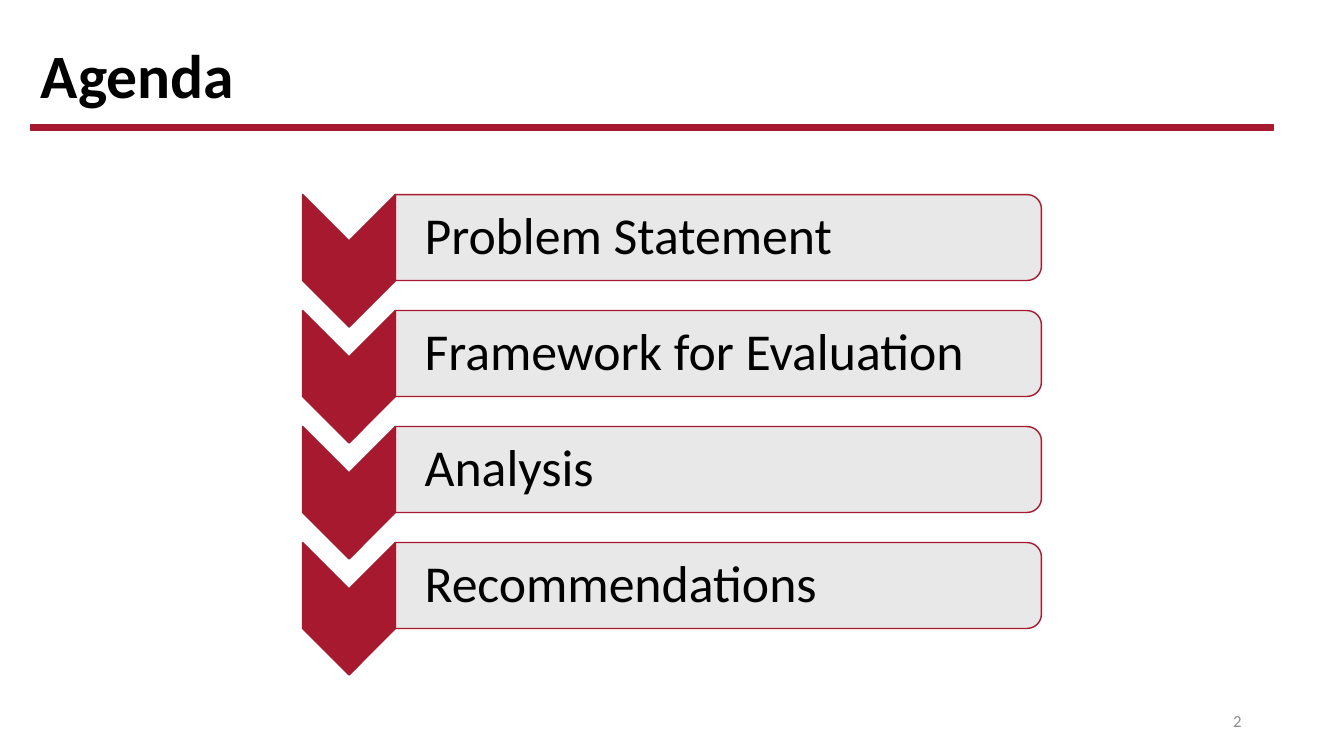
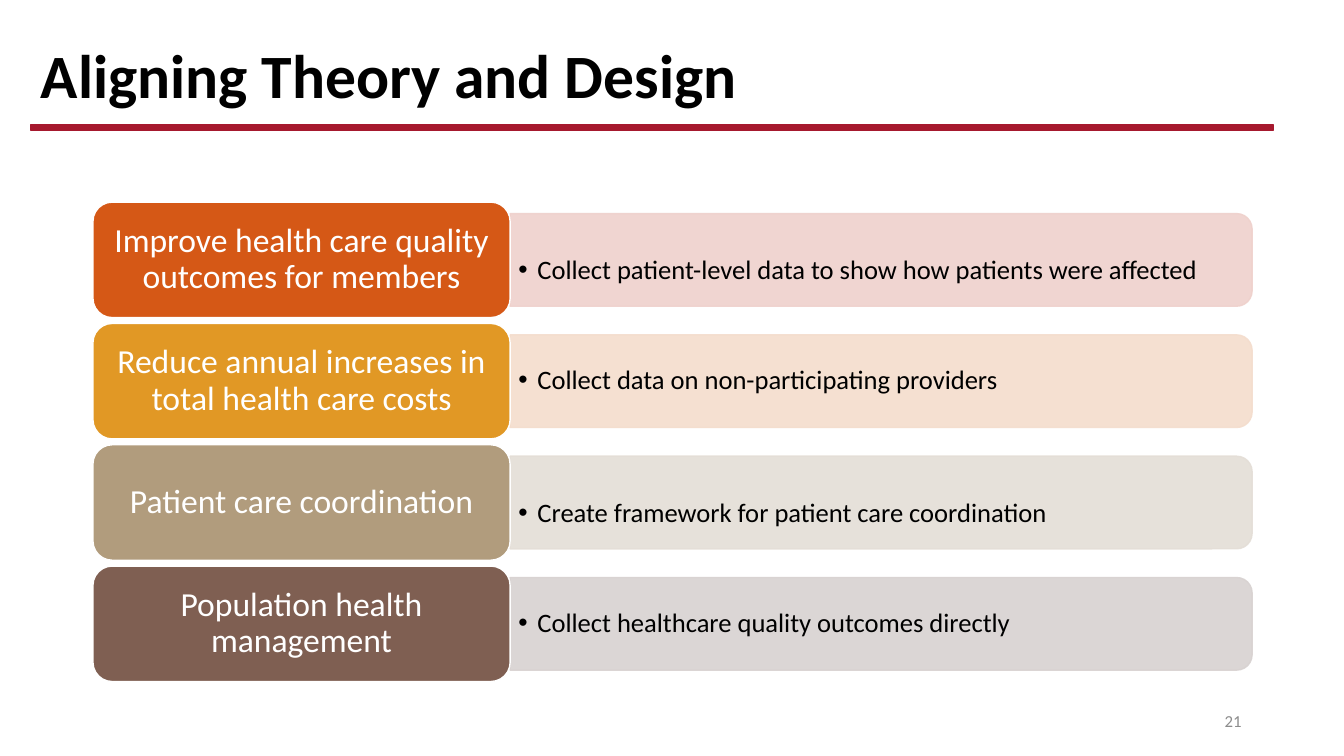
from lxml import etree
from pptx import Presentation
from pptx.dml.color import RGBColor
from pptx.enum.shapes import MSO_SHAPE
from pptx.enum.text import MSO_ANCHOR, PP_ALIGN
from pptx.oxml.ns import qn
from pptx.util import Pt

FONT = "Calibri"
COLORS = {
    "black": "000000", "white": "FFFFFF", "red": "A6192E",
    "gray": "E7E6E6", "number": "8C8C8C",
}
AGENDA = {
    "title": "Agenda",
    "number": "2",
    "items": ["Problem Statement", "Framework for Evaluation", "Analysis", "Recommendations"],
}
# Goal, goal colour, design step, bar colour, extra space above the step
DESIGN = {
    "title": "Aligning Theory and Design",
    "number": "21",
    "rows": [
        ("Improve health care quality outcomes for members", "D55816",
         "Collect patient-level data to show how patients were affected", "EFD1CC", 16),
        ("Reduce annual increases in total health care costs", "E19825",
         "Collect data on non-participating providers", "F4DDCD", 0),
        ("Patient care coordination", "B19C7D",
         "Create framework for patient care coordination", "E4DED7", 16),
        ("Population health management", "7F5F52",
         "Collect healthcare quality outcomes directly", "D8D2D1", 0),
    ],
}


def set_alpha(color_fill, percent):
    """Make a solid fill partly transparent."""
    color = color_fill.find(".//" + qn("a:srgbClr"))
    etree.SubElement(color, qn("a:alpha")).set("val", str(percent * 1000))


def write(shape, text, size, color, align=PP_ALIGN.LEFT, insets=(7.2, 3.6, 7.2, 3.6),
          bold=False, spacing=0.9):
    """Put one formatted, vertically centred paragraph in a shape."""
    frame = shape.text_frame
    frame.word_wrap = True
    frame.vertical_anchor = MSO_ANCHOR.MIDDLE
    (frame.margin_left, frame.margin_top,
     frame.margin_right, frame.margin_bottom) = map(Pt, insets)
    paragraph = frame.paragraphs[0]
    paragraph.alignment = align
    paragraph.line_spacing = spacing
    run = paragraph.add_run()
    run.text = text
    run.font.name, run.font.size, run.font.bold = FONT, Pt(size), bold
    run.font.color.rgb = RGBColor.from_string(color)
    return paragraph


def add_text(slide, box, *args, **kwargs):
    """Add a text box with one paragraph."""
    return write(slide.shapes.add_textbox(*map(Pt, box)), *args, **kwargs)


def add_bullet(paragraph, indent):
    """Give a paragraph a round bullet with a hanging indent."""
    props = paragraph._p.get_or_add_pPr()
    props.set("marL", str(Pt(indent)))
    props.set("indent", str(-Pt(indent)))
    etree.SubElement(props, qn("a:buFont")).set("typeface", "Arial")
    etree.SubElement(props, qn("a:buChar")).set("char", "•")


def add_block(slide, kind, box, fill, line, alpha=None, line_alpha=None):
    """Add a filled and outlined preset shape without shadow."""
    shape = slide.shapes.add_shape(kind, *map(Pt, box))
    shape.shadow.inherit = False
    shape.fill.solid()
    shape.fill.fore_color.rgb = RGBColor.from_string(fill)
    shape.line.color.rgb = RGBColor.from_string(line)
    shape.line.width = Pt(1)
    props = shape._element.spPr
    if alpha:
        set_alpha(props.find(qn("a:solidFill")), alpha)
    if line_alpha:
        set_alpha(props.find(qn("a:ln")), line_alpha)
    return shape


def add_turned(slide, kind, box, *args, **kwargs):
    """Add a shape turned a quarter clockwise so that it covers the box."""
    left, top, width, height = box
    shift = (width - height) / 2
    turned = (left + shift, top - shift, height, width)
    add_block(slide, kind, turned, *args, **kwargs).rotation = 90


def add_base(deck, content):
    """Add a slide with the shared title, red rule and page number."""
    slide = deck.slides.add_slide(deck.slide_layouts[5])
    title = slide.shapes.title
    title.left, title.top, title.width, title.height = map(Pt, (22, 23.4, 827, 65.6))
    write(title, content["title"], 44, COLORS["black"], bold=True)
    add_block(slide, MSO_SHAPE.RECTANGLE, (22, 89.3, 887.6, 3.6), COLORS["red"], COLORS["red"])
    add_text(slide, (678, 500.5, 216, 28.8), content["number"], 12, COLORS["number"],
             PP_ALIGN.RIGHT, spacing=1)
    return slide


def build_agenda(deck):
    """Build the agenda: a column of chevrons with a bar beside each."""
    slide = add_base(deck, AGENDA)
    left, first, pitch = 216.2, 139, 82.85
    chevron_width, chevron_height, bar_width, bar_height = 66.2, 94.6, 461.5, 61.4
    for index, item in enumerate(AGENDA["items"]):
        top = first + index * pitch
        bar = (left + chevron_width, top, bar_width, bar_height)
        add_turned(slide, MSO_SHAPE.CHEVRON, (left, top, chevron_width, chevron_height),
                   COLORS["red"], COLORS["red"])
        add_turned(slide, MSO_SHAPE.ROUND_2_SAME_RECTANGLE, bar,
                   COLORS["gray"], COLORS["red"], alpha=90)
        add_text(slide, bar, item, 37, COLORS["black"], insets=(20.9, 2, 2, 2))


def build_design(deck):
    """Build the rows that pair each goal with a design step."""
    slide = add_base(deck, DESIGN)
    left, first, pitch = 66.4, 144.4, 86.65
    goal_width, goal_height, bar_width, bar_height = 298, 82.5, 530, 66.2
    for index, (goal, goal_color, step, bar_color, space) in enumerate(DESIGN["rows"]):
        top = first + index * pitch
        bar = (left + goal_width, top + (goal_height - bar_height) / 2, bar_width, bar_height)
        add_turned(slide, MSO_SHAPE.ROUND_2_SAME_RECTANGLE, bar, bar_color, bar_color,
                   alpha=90, line_alpha=90)
        paragraph = add_text(slide, bar, step, 19, COLORS["black"],
                             insets=(5.8, 2.9 + space, 5.8, 2.9))
        add_bullet(paragraph, 13.7)
        block = add_block(slide, MSO_SHAPE.ROUNDED_RECTANGLE,
                          (left, top, goal_width, goal_height), goal_color, COLORS["white"])
        write(block, goal, 24, COLORS["white"], PP_ALIGN.CENTER, (9, 3.6, 9, 3.6))


deck = Presentation()
deck.slide_width, deck.slide_height = Pt(960), Pt(540)
build_agenda(deck)
build_design(deck)
deck.save("out.pptx")
